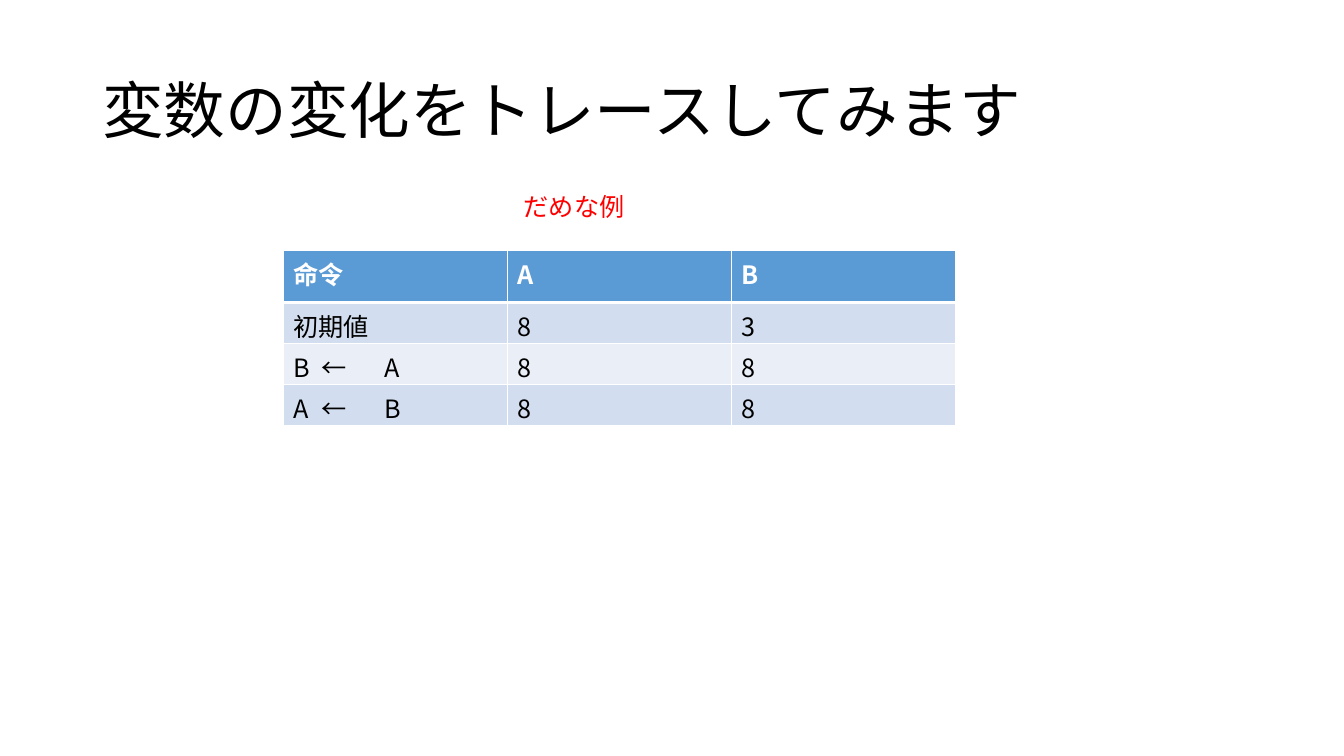
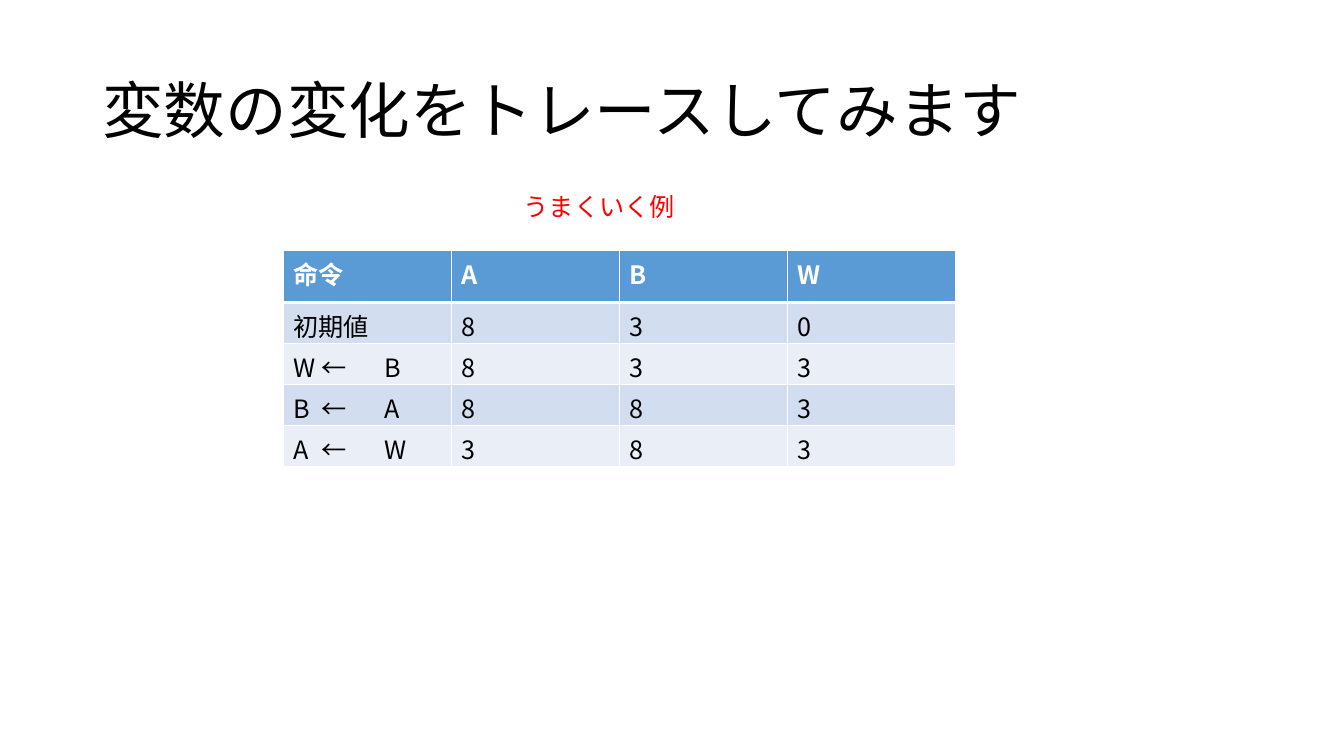
from pptx import Presentation
from pptx.dml.color import RGBColor as RGB
from pptx.enum.text import MSO_ANCHOR as Anchor, MSO_AUTO_SIZE as Fit
from pptx.oxml.ns import qn
from pptx.util import Pt
from lxml.etree import SubElement as Sub

FONT = "Noto Sans CJK JP"
BLACK = RGB(0x00, 0x00, 0x00)
WHITE = RGB(0xFF, 0xFF, 0xFF)
RED = RGB(0xFF, 0x00, 0x00)
HEAD = RGB(0x5B, 0x9B, 0xD5)
BANDS = (RGB(0xD2, 0xDE, 0xEF), RGB(0xEA, 0xEF, 0xF7))

TITLE = "変数の変化をトレースしてみます"
LEFT, TOP, WIDTH = 202.5, 178.75, 480
HEAD_H, ROW_H = 37.44, 29.2
STOPS = (20, 65)

TRACES = (
    ("だめな例", 87, (
        ("命令", "A", "B"),
        ("初期値", "8", "3"),
        ("B\t←\tA", "8", "8"),
        ("A\t←\tB", "8", "8"))),
    ("うまくいく例", 124, (
        ("命令", "A", "B", "W"),
        ("初期値", "8", "3", "0"),
        ("W\t←\tB", "8", "3", "3"),
        ("B\t←\tA", "8", "8", "3"),
        ("A\t←\tW", "3", "8", "3"))),
)


def style(para, size, color, bold=False):
    """Format every run of a paragraph, Latin and Japanese alike."""
    for run in para.runs:
        font = run.font
        font.size, font.bold, font.name = Pt(size), bold, FONT
        font.color.rgb = color
        Sub(run._r.get_or_add_rPr(), qn("a:ea"), typeface=FONT)


def add_text(slide, text, box, size, color):
    """Add a line of text in a box and return its frame."""
    frame = slide.shapes.add_textbox(*map(Pt, box)).text_frame
    frame.text = text
    style(frame.paragraphs[0], size, color)
    return frame


def add_title(slide):
    """Add the shared title."""
    frame = add_text(slide, TITLE, (66, 28.75, 828, 104.4), 44, BLACK)
    frame.word_wrap = True
    frame.vertical_anchor = Anchor.MIDDLE
    frame.paragraphs[0].line_spacing = 0.9


def add_label(slide, text, width):
    """Add the red label above the table."""
    frame = add_text(slide, text, (367, 133, width, 29), 18, RED)
    frame.word_wrap = False
    frame.auto_size = Fit.SHAPE_TO_FIT_TEXT


def set_edges(cell, top, bottom):
    """Draw white cell borders, with own widths at top and bottom."""
    props = cell._tc.get_or_add_tcPr()
    for side, width in (("L", 1), ("R", 1), ("T", top), ("B", bottom)):
        line = Sub(props, qn("a:ln" + side), w=str(Pt(width)))
        fill = Sub(line, qn("a:solidFill"))
        Sub(fill, qn("a:srgbClr"), val=str(WHITE))


def set_tabs(para):
    """Line up the parts of an assignment."""
    tabs = Sub(para._p.get_or_add_pPr(), qn("a:tabLst"))
    for stop in STOPS:
        Sub(tabs, qn("a:tab"), pos=str(Pt(stop)), algn="l")


def fill_cell(cell, text, row):
    """Write one cell in the look of its row."""
    is_head = row == 0
    set_edges(cell, 3 if row == 1 else 1, 3 if is_head else 1)
    cell.fill.solid()
    cell.fill.fore_color.rgb = HEAD if is_head else BANDS[(row - 1) % 2]
    cell.text_frame.text = text
    para = cell.text_frame.paragraphs[0]
    if "\t" in text:
        set_tabs(para)
    style(para, 18, WHITE if is_head else BLACK, is_head)


def add_trace(slide, rows):
    """Add the table that follows the variables step by step."""
    count = len(rows[0])
    height = HEAD_H + ROW_H * (len(rows) - 1)
    table = slide.shapes.add_table(
        len(rows), count, Pt(LEFT), Pt(TOP), Pt(WIDTH), Pt(height)).table
    for col in table.columns:
        col.width = Pt(WIDTH / count)
    for i, texts in enumerate(rows):
        table.rows[i].height = Pt(ROW_H if i else HEAD_H)
        for j, text in enumerate(texts):
            fill_cell(table.cell(i, j), text, i)


def main():
    """Build one slide per trace and save the deck."""
    deck = Presentation()
    deck.slide_width, deck.slide_height = Pt(960), Pt(540)
    for label, width, rows in TRACES:
        slide = deck.slides.add_slide(deck.slide_layouts[6])
        add_title(slide)
        add_trace(slide, rows)
        add_label(slide, label, width)
    deck.save("out.pptx")


main()
